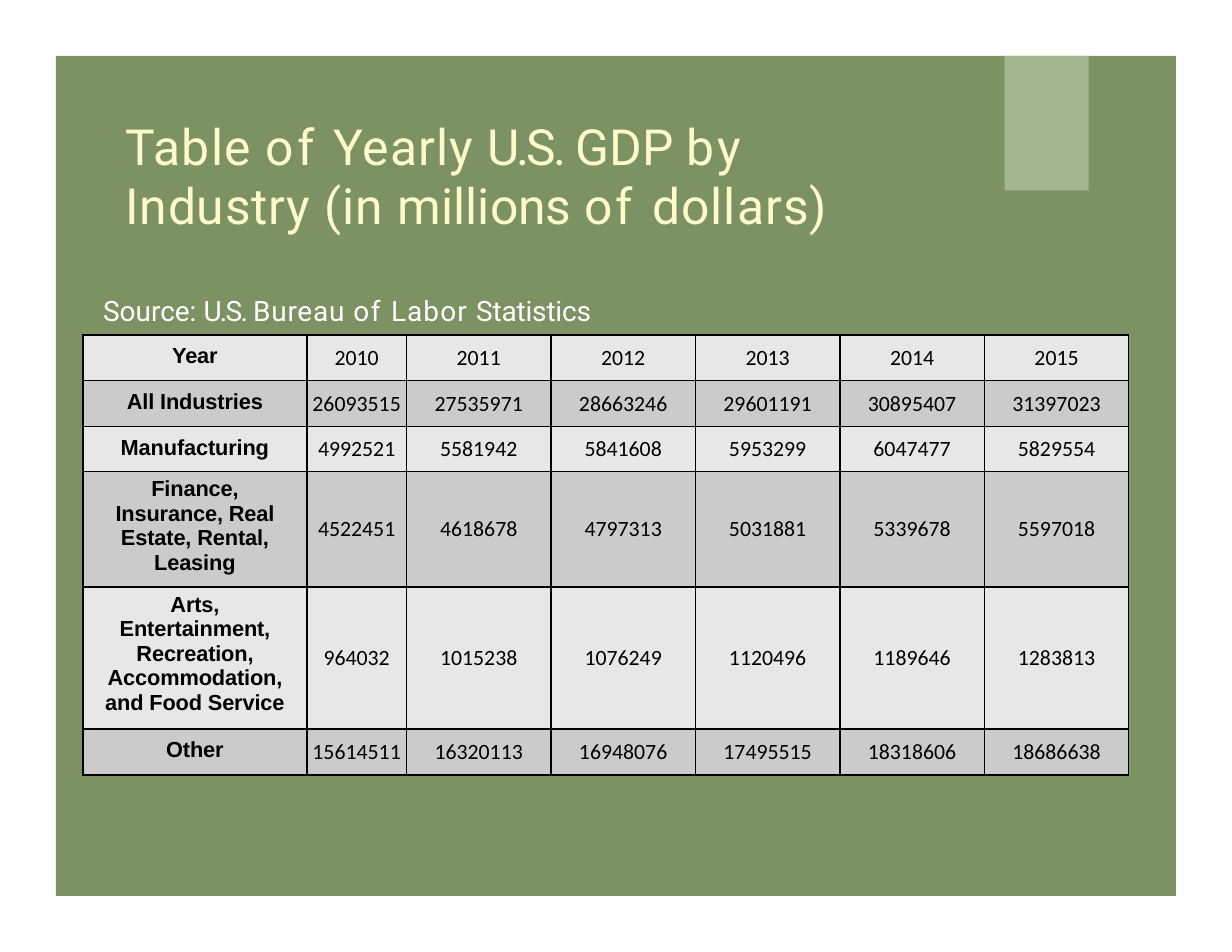
import pptx
import pptx.util
import pptx.dml.color
import pptx.enum.text
import pptx.oxml
from lxml import etree
from pptx.util import Inches

ANCHOR = pptx.enum.text.MSO_ANCHOR
ALIGN = pptx.enum.text.PP_ALIGN
BORDER = (
    '<a:{side} xmlns:a="http://schemas.openxmlformats.org/drawingml/2006/main" w="12700">'
    '<a:solidFill><a:srgbClr val="000000"/></a:solidFill></a:{side}>'
)


def color(hex_value):
    return pptx.dml.color.RGBColor.from_string(hex_value)


def write(para, spans, font, size, hex_value, bold=False):
    """Fill a paragraph with (text, letter spacing in points) spans."""
    para.font.name = font
    para.font.size = pptx.util.Pt(size)
    para.font.bold = bold
    para.font.color.rgb = color(hex_value)
    for text, spacing in spans:
        span = para.add_run()
        span.text = text
        if spacing:
            span._r.get_or_add_rPr().set("spc", str(round(spacing * 100)))


deck = pptx.Presentation()
deck.slide_width = Inches(11)
deck.slide_height = Inches(8.5)
page = deck.slides.add_slide(deck.slide_layouts[5])

# Green panel and its tab
for left, top, width, height, fill in [
    (0.5, 0.5, 10, 7.5, "7D9263"),
    (8.97, 0.5, 0.75, 1.2, "A5B592"),
]:
    panel = page.shapes.add_shape(
        pptx.enum.shapes.MSO_SHAPE.RECTANGLE,
        Inches(left), Inches(top), Inches(width), Inches(height))
    panel.shadow.inherit = False
    panel.fill.solid()
    panel.fill.fore_color.rgb = color(fill)
    panel.line.fill.background()

# Title, moved in front of the panel
title = page.shapes.title
page.shapes._spTree.append(title._element)
title.left, title.top = Inches(1.12), Inches(1.02)
title.width, title.height = Inches(7.34), Inches(1.23)
title_spans = [
    ("Table ", 0.8), ("of ", 2.1), ("Yearly ", 0.6), ("U.S. ", -1.9),
    ("GDP ", 0), ("by ", 2.2), ("Industry ", 0.5), ("(in ", 0.7),
    ("millions ", 0), ("of ", 2.1), ("dollars)", 0.7),
]

# Source line
source = page.shapes.add_textbox(Inches(0.92), Inches(2.61), Inches(4.51), Inches(0.33))
source_spans = [
    ("Source: ", 0), ("U.S. ", -1.1), ("Bureau ", 0.5),
    ("of ", 1.1), ("Labor ", 0.7), ("Statistics", -0.1),
]

for box, spans, size, hex_value, right in [
    (title, title_spans, 32, "FEFAC9", 0.8),
    (source, source_spans, 18, "FFFFFF", 0),
]:
    frame = box.text_frame
    frame.word_wrap = True
    frame.auto_size = pptx.enum.text.MSO_AUTO_SIZE.NONE
    frame.vertical_anchor = ANCHOR.TOP
    frame.margin_left = frame.margin_bottom = 0
    frame.margin_top = Inches(0.01)
    frame.margin_right = Inches(right)
    para = frame.paragraphs[0]
    para.alignment = ALIGN.LEFT
    para.space_before = pptx.util.Pt(1)
    write(para, spans, "Roboto", size, hex_value)

# GDP table: row height, label side margin, label, values
rows = [
    (0.41, 0, "Year", [2010, 2011, 2012, 2013, 2014, 2015]),
    (0.41, 0, "All Industries",
     [26093515, 27535971, 28663246, 29601191, 30895407, 31397023]),
    (0.4, 0, "Manufacturing",
     [4992521, 5581942, 5841608, 5953299, 6047477, 5829554]),
    (1.03, 0.25, "Finance, Insurance, Real Estate, Rental, Leasing",
     [4522451, 4618678, 4797313, 5031881, 5339678, 5597018]),
    (1.27, 0.15, "Arts, Entertainment, Recreation, Accommodation, and Food Service",
     [964032, 1015238, 1076249, 1120496, 1189646, 1283813]),
    (0.41, 0, "Other",
     [15614511, 16320113, 16948076, 17495515, 18318606, 18686638]),
]
widths = [2, 0.89] + [1.29] * 5
table = page.shapes.add_table(
    len(rows), len(widths), Inches(0.74), Inches(2.99),
    Inches(sum(widths)), Inches(sum(row[0] for row in rows))).table
for column, width in zip(table.columns, widths):
    column.width = Inches(width)

for row_index, (height, side_margin, label, values) in enumerate(rows):
    table.rows[row_index].height = Inches(height)
    for column_index, value in enumerate([label] + values):
        is_label = column_index == 0
        cell = table.cell(row_index, column_index)
        cell.margin_left = cell.margin_right = Inches(side_margin if is_label else 0)
        cell.margin_top = cell.margin_bottom = 0
        if is_label:
            cell.vertical_anchor = ANCHOR.TOP
            cell.margin_top = Inches(0.05 if side_margin else 0.08)
        else:
            cell.vertical_anchor = ANCHOR.MIDDLE
        para = cell.text_frame.paragraphs[0]
        para.alignment = ALIGN.CENTER
        write(para, [(str(value), -0.1 if is_label else 0)],
              "Arial" if is_label else "Calibri", 14, "000000", is_label)
        # Borders come before the fill in the cell properties
        properties = cell._tc.get_or_add_tcPr()
        for side in ("lnL", "lnR", "lnT", "lnB"):
            properties.append(etree.fromstring(BORDER.format(side=side)))
        cell.fill.solid()
        cell.fill.fore_color.rgb = color("CBCBCB" if row_index % 2 else "E7E7E7")

deck.save("out.pptx")
